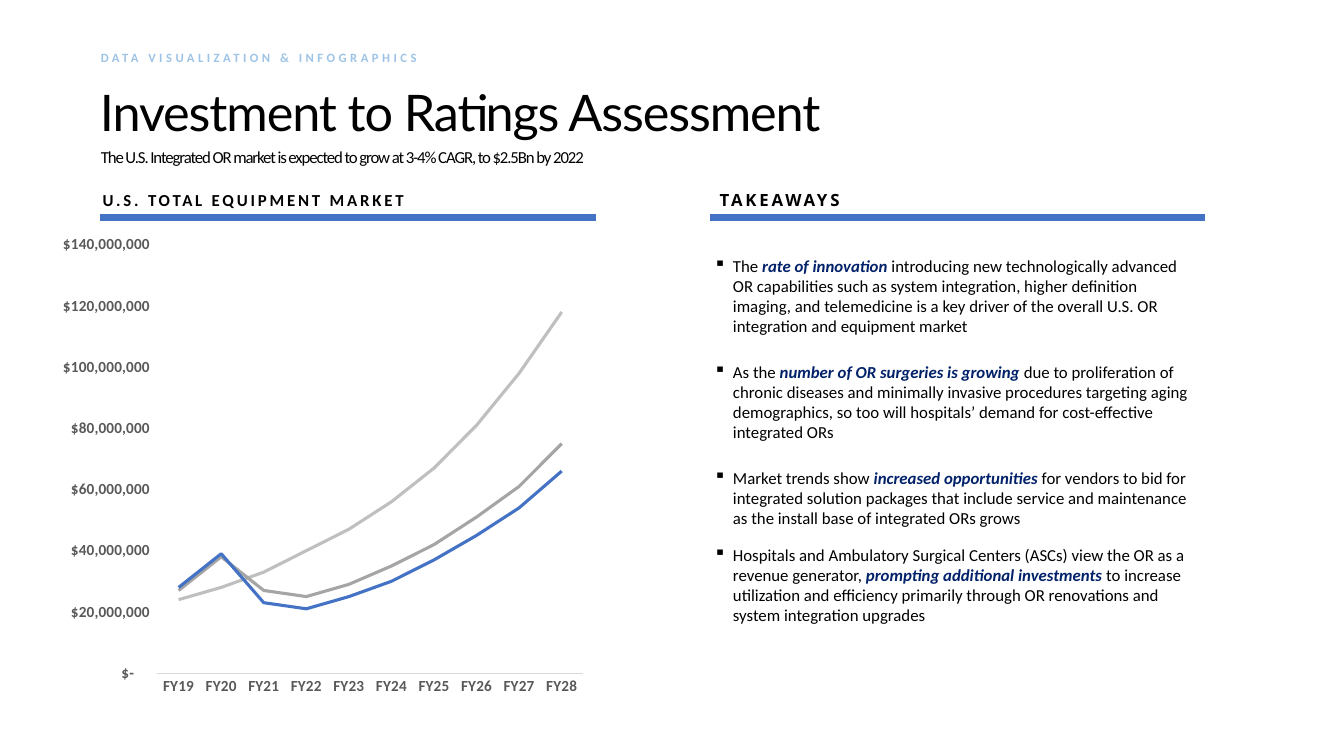
from lxml import etree
from pptx import Presentation
from pptx import util as u
from pptx.chart import data as chart_data
from pptx.dml import color
from pptx.enum import chart as chart_kinds, shapes, text
from pptx.oxml import ns

SLIDE_WIDTH, SLIDE_HEIGHT = u.Inches(13.33), u.Inches(7.5)
COLUMNS, ROWS = 160, 90
LEFT_COLUMN, RIGHT_COLUMN, PANEL_COLUMNS = 11.9, 84.5, 59
COLORS = {
    "ink": "000000", "paper": "FFFFFF", "eyebrow": "9DC3E6", "accent": "4472C4",
    "emphasis": "012169", "axis_text": "595959", "axis_line": "D9D9D9",
    "light_line": "BFBFBF", "gray_line": "A5A5A5",
}
YEARS = [f"FY{year}" for year in range(19, 29)]
MARKET_MILLIONS = [
    ("Series 1", "light_line", [24, 28, 33, 40, 47, 56, 67, 81, 98, 118]),
    ("Series 2", "gray_line", [27, 38, 27, 25, 29, 35, 42, 51, 61, 75]),
    ("Series 3", "accent", [28, 39, 23, 21, 25, 30, 37, 45, 54, 66]),
]
DOLLARS = '_("$"* #,##0_);_("$"* \\(#,##0\\);_("$"* "-"??_);_(@_)'
TAKEAWAYS = [
    (6, "The ", "rate of innovation ",
     "introducing new technologically advanced OR capabilities such as system integration, "
     "higher definition imaging, and telemedicine is a key driver of the overall U.S. OR "
     "integration and equipment market"),
    (12, "As the ", "number of OR surgeries is growing ",
     "due to proliferation of chronic diseases and minimally invasive procedures targeting "
     "aging demographics, so too will hospitals’ demand for cost-effective integrated ORs"),
    (6, "Market trends show ", "increased opportunities",
     " for vendors to bid for integrated solution packages that include service and "
     "maintenance as the install base of integrated ORs grows"),
    (6, "Hospitals and Ambulatory Surgical Centers (ASCs) view the OR as a revenue generator, ",
     "prompting additional investments",
     " to increase utilization and efficiency primarily through OR renovations and system "
     "integration upgrades"),
]


def rgb(name):
    return color.RGBColor.from_string(COLORS[name])


def across(columns):
    return round(SLIDE_WIDTH * columns / COLUMNS)


def down(rows):
    return round(SLIDE_HEIGHT * rows / ROWS)


def area(column, row, columns, rows):
    return across(column), down(row), across(columns), down(rows)


def style_font(font, size, ink="ink", bold=False, face="Calibri"):
    font.name, font.size, font.bold = face, u.Pt(size), bold
    font.color.rgb = rgb(ink)


def add_run(paragraph, words, size, ink="ink", bold=False, face="Calibri", tracking=0):
    run = paragraph.add_run()
    run.text = words
    style_font(run.font, size, ink, bold, face)
    if tracking:
        run._r.get_or_add_rPr().set("spc", str(round(tracking * 100)))
    return run


def set_frame(frame, anchor, margins):
    frame.word_wrap = True
    frame.vertical_anchor = anchor
    frame.margin_left, frame.margin_top, frame.margin_right, frame.margin_bottom = (
        u.Inches(margin) for margin in margins)


def add_label(slide, box, words, size, anchor=text.MSO_ANCHOR.TOP, bottom=0, **style):
    frame = slide.shapes.add_textbox(*area(*box)).text_frame
    set_frame(frame, anchor, (0, bottom, 0, 0))
    paragraph = frame.paragraphs[0]
    paragraph.line_spacing = 0.9
    add_run(paragraph, words, size, **style)


def add_heading(slide, column, columns, words, face):
    shape = slide.shapes.add_shape(
        shapes.MSO_SHAPE.RECTANGLE, *area(column, 21.96, columns, 3.6))
    shape.shadow.inherit = False
    shape.fill.solid()
    shape.fill.fore_color.rgb = rgb("paper")
    shape.line.fill.background()
    set_frame(shape.text_frame, text.MSO_ANCHOR.MIDDLE, (0.1, 0.05, 0.1, 0.05))
    paragraph = shape.text_frame.paragraphs[0]
    paragraph.alignment = text.PP_ALIGN.LEFT
    add_run(paragraph, words, 12, bold=True, face=face, tracking=2)


def add_rule(slide, column):
    rule = slide.shapes.add_connector(
        shapes.MSO_CONNECTOR.STRAIGHT, across(column), down(25.9),
        across(column + PANEL_COLUMNS), down(25.9))
    rule.line.color.rgb = rgb("accent")
    rule.line.width = u.Pt(4.56)
    etree.SubElement(rule._element.spPr, ns.qn("a:effectLst"))


def add_bullet(paragraph):
    properties = paragraph._p.get_or_add_pPr()
    properties.set("marL", str(u.Inches(0.19)))
    properties.set("indent", str(-u.Inches(0.19)))
    etree.SubElement(properties, ns.qn("a:buChar")).set("char", "▪")


def add_takeaways(slide):
    frame = slide.shapes.add_textbox(*area(RIGHT_COLUMN, 28.56, 57.5, 47.76)).text_frame
    set_frame(frame, text.MSO_ANCHOR.MIDDLE, [0.04] * 4)
    for index, (gap, opening, key_phrase, closing) in enumerate(TAKEAWAYS):
        paragraph = frame.add_paragraph() if index else frame.paragraphs[0]
        paragraph.space_before = paragraph.space_after = u.Pt(gap)
        add_bullet(paragraph)
        add_run(paragraph, opening, 12)
        add_run(paragraph, key_phrase, 12, "emphasis", bold=True).font.italic = True
        add_run(paragraph, closing, 12)


def set_plot_area(chart, **shares):
    plot_area = chart._chartSpace.chart.plotArea
    for old_layout in plot_area.findall(ns.qn("c:layout")):
        plot_area.remove(old_layout)
    layout = etree.Element(ns.qn("c:layout"))
    manual = etree.SubElement(layout, ns.qn("c:manualLayout"))
    settings = {"layoutTarget": "inner", "xMode": "edge", "yMode": "edge", **shares}
    for tag, value in settings.items():
        etree.SubElement(manual, ns.qn(f"c:{tag}")).set("val", str(value))
    plot_area.insert(0, layout)


def style_axis(axis):
    axis.has_major_gridlines = False
    axis.major_tick_mark = axis.minor_tick_mark = chart_kinds.XL_TICK_MARK.NONE
    style_font(axis.tick_labels.font, 11, "axis_text", bold=True)


def add_market_chart(slide):
    market = chart_data.CategoryChartData(number_format=DOLLARS)
    market.categories = YEARS
    for name, _, millions in MARKET_MILLIONS:
        market.add_series(name, [value * 1_000_000 for value in millions])
    chart = slide.shapes.add_chart(
        chart_kinds.XL_CHART_TYPE.LINE, *area(7.08, 26.88, 63.72, 57.96), market).chart
    chart.has_legend = chart.has_title = False
    style_font(chart.font, 11)
    set_plot_area(chart, x=0.173, y=0.039, w=0.805, h=0.88)
    years, dollars = chart.category_axis, chart.value_axis
    style_axis(years)
    style_axis(dollars)
    years.format.line.color.rgb = rgb("axis_line")
    years.format.line.width = u.Pt(0.75)
    dollars.format.line.fill.background()
    dollars.minimum_scale, dollars.maximum_scale = 0, 140_000_000
    dollars.major_unit = 20_000_000
    dollars.tick_labels.number_format = DOLLARS
    dollars.tick_labels.number_format_is_linked = False
    plot = chart.plots[0]
    plot.vary_by_categories = False
    for series, (_, ink, _) in zip(plot.series, MARKET_MILLIONS):
        series.smooth = False
        series.marker.style = chart_kinds.XL_MARKER_STYLE.NONE
        series.format.line.color.rgb = rgb(ink)
        series.format.line.width = u.Pt(2.25)


def main():
    presentation = Presentation()
    presentation.slide_width, presentation.slide_height = SLIDE_WIDTH, SLIDE_HEIGHT
    slide = presentation.slides.add_slide(presentation.slide_layouts[6])
    add_label(slide, (LEFT_COLUMN, 9.12, 136, 7.8), "Investment to Ratings Assessment", 36,
              anchor=text.MSO_ANCHOR.BOTTOM, bottom=0.05, face="Lato", tracking=-0.8)
    add_label(slide, (12, 17.76, 136, 6.24),
              "The U.S. Integrated OR market is expected to grow at 3-4% CAGR, to $2.5Bn by 2022",
              12, tracking=-0.8)
    add_label(slide, (12, 6.12, 44, 2.64), "DATA VISUALIZATION & INFOGRAPHICS", 9,
              ink="eyebrow", bold=True, tracking=2.5)
    add_heading(slide, 11.04, 49.44, "U.S. TOTAL EQUIPMENT MARKET", "Calibri")
    add_heading(slide, RIGHT_COLUMN, 41.64, "TAKEAWAYS", "Open Sans")
    for column in (LEFT_COLUMN, RIGHT_COLUMN):
        add_rule(slide, column)
    add_takeaways(slide)
    add_market_chart(slide)
    presentation.save("out.pptx")


if __name__ == "__main__":
    main()
